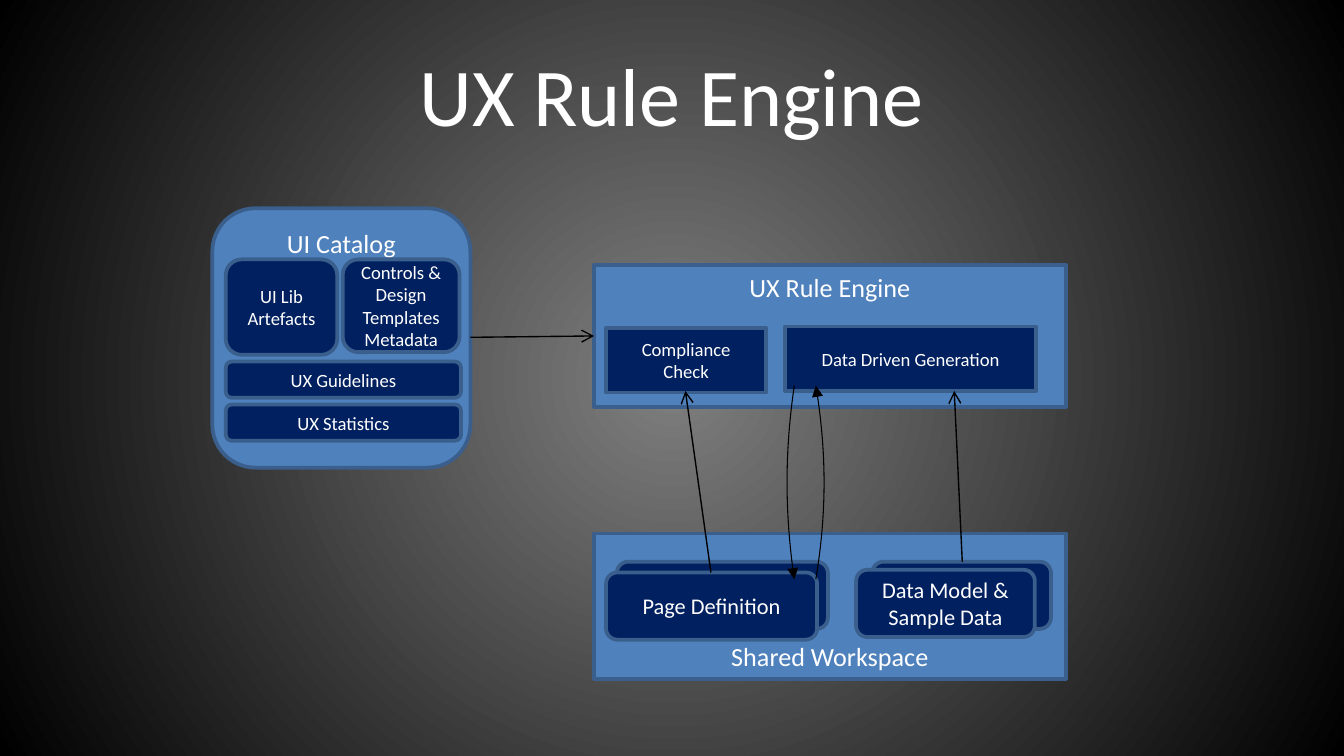
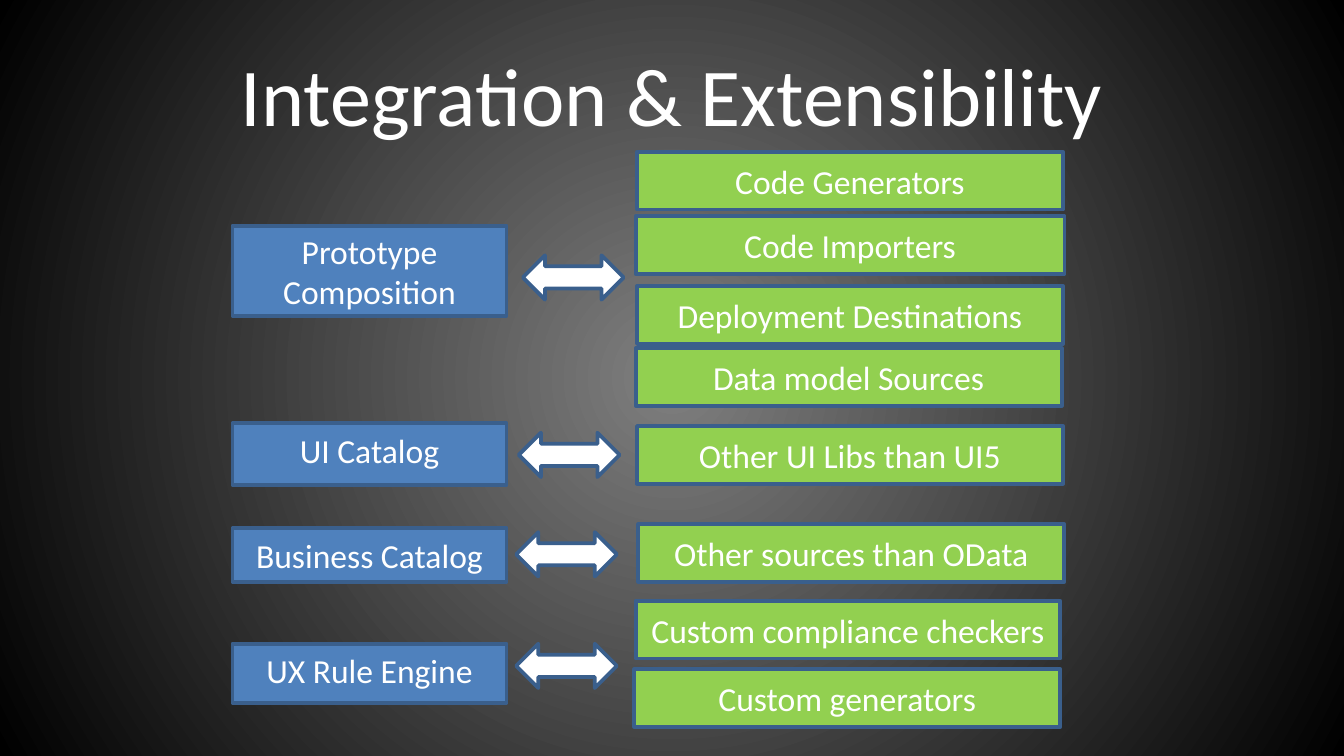
"""Builds two slides on the UX rule engine and its integration points."""
import pptx
import pptx.dml.color
import pptx.enum.dml
import pptx.enum.shapes
import pptx.enum.text
import pptx.oxml
import pptx.oxml.ns
import pptx.util

Inches = pptx.util.Inches
Pt = pptx.util.Pt
RGB = pptx.dml.color.RGBColor.from_string
MSO = pptx.enum.shapes.MSO_SHAPE
ANCHOR = pptx.enum.text.MSO_ANCHOR
qn = pptx.oxml.ns.qn
NS = pptx.oxml.ns.nsdecls("a")
COLORS = {
    "glow": "7F7F7F", "black": "000000", "white": "FFFFFF",
    "blue": "4F81BD", "navy": "002060", "green": "92D050", "edge": "3A5F8C",
}


def write(shape, text, size, anchor=ANCHOR.MIDDLE):
    tf = shape.text_frame
    tf.word_wrap = True
    tf.vertical_anchor = anchor
    p = tf.paragraphs[0]
    p.alignment = pptx.enum.text.PP_ALIGN.CENTER
    r = p.add_run()
    r.text = text
    r.font.size = Pt(size)
    r.font.name = "Calibri"
    r.font.color.rgb = RGB(COLORS["white"])


def box(s, kind, at, fill, text="", size=10, anchor=ANCHOR.MIDDLE):
    sp = s.shapes.add_shape(kind, *map(Inches, at))
    sp.shadow.inherit = False
    sp.fill.solid()
    sp.fill.fore_color.rgb = RGB(COLORS[fill])
    sp.line.color.rgb = RGB(COLORS["edge"])
    sp.line.width = Pt(2)
    if text:
        write(sp, text, size, anchor)


prs = pptx.Presentation()
prs.slide_width = Inches(10)
prs.slide_height = prs.slide_width * 9 // 16

fill = prs.slide_master.background.fill
fill.gradient()
for stop, name in zip(fill.gradient_stops, ("glow", "black")):
    stop.color.rgb = RGB(COLORS[name])
grad = prs.slide_master.element.find(".//" + qn("a:gradFill"))
grad.replace(grad.find(qn("a:lin")), pptx.oxml.parse_xml(
    f'<a:path {NS} path="circle"><a:fillToRect l="50000" t="50000" r="50000" b="50000"/></a:path>'))

slides = []
for title in ("UX Rule Engine", "Integration & Extensibility"):
    s = prs.slides.add_slide(prs.slide_layouts[5])
    sp = s.shapes.title
    sp.left, sp.top, sp.width, sp.height = map(Inches, (0.5, 0.23, 9, 0.94))
    write(sp, title, 44)
    slides.append(s)
engine, integration = slides

panels = [
    (MSO.RECTANGLE, (4.42, 3.97, 3.51, 1.08), "Shared Workspace", ANCHOR.BOTTOM),
    (MSO.RECTANGLE, (4.42, 1.97, 3.51, 1.06), "UX Rule Engine", ANCHOR.TOP),
]
catalog = (MSO.ROUNDED_RECTANGLE, (1.58, 1.55, 1.92, 1.93), "UI Catalog", ANCHOR.TOP)
for kind, at, text, anchor in panels + [catalog]:
    box(engine, kind, at, "blue", text, 14, anchor)

parts = [
    (MSO.ROUNDED_RECTANGLE, (4.59, 4.18, 1.57, 0.5), "", 12),
    (MSO.ROUNDED_RECTANGLE, (4.51, 4.26, 1.57, 0.5), "Page Definition", 12),
    (MSO.ROUNDED_RECTANGLE, (6.49, 4.18, 1.33, 0.5), "", 12),
    (MSO.ROUNDED_RECTANGLE, (6.37, 4.24, 1.33, 0.5), "Data Model & Sample Data", 12),
    (MSO.ROUNDED_RECTANGLE, (1.68, 1.93, 0.83, 0.71), "UI Lib Artefacts", 10),
    (MSO.ROUNDED_RECTANGLE, (2.55, 1.93, 0.87, 0.69), "Controls & Design Templates Metadata", 10),
    (MSO.ROUNDED_RECTANGLE, (1.68, 2.69, 1.75, 0.27), "UX Guidelines", 10),
    (MSO.ROUNDED_RECTANGLE, (1.68, 3.01, 1.75, 0.27), "UX Statistics", 10),
    (MSO.RECTANGLE, (4.51, 2.44, 1.19, 0.48), "Compliance Check", 10),
    (MSO.RECTANGLE, (5.84, 2.43, 1.87, 0.48), "Data Driven Generation", 10),
]
for kind, at, text, size in parts:
    box(engine, kind, at, "navy", text, size)

arrows = []
for ends in ((3.5, 2.51, 4.42, 2.5), (5.29, 4.26, 5.1, 2.91), (7.16, 4.18, 7.1, 2.91)):
    sp = engine.shapes.add_connector(
        pptx.enum.shapes.MSO_CONNECTOR.STRAIGHT, *map(Inches, ends))
    arrows.append((sp, 0.75, "arrow"))

for x, bend, start, end in ((5.91, 5.84, 2.87, 4.31), (6.07, 6.15, 4.31, 2.87)):
    third = (end - start) / 3
    points = [(bend, start + third), (bend, end - third), (x, end)]
    pen = engine.shapes.build_freeform(Inches(x), Inches(start))
    pen.add_line_segments([(Inches(a), Inches(b)) for a, b in points], close=False)
    sp = pen.convert_to_shape()
    sp.shadow.inherit = False
    sp.fill.background()
    outline = sp.element.find(".//" + qn("a:path"))
    curve = pptx.oxml.parse_xml(f"<a:cubicBezTo {NS}/>")
    for segment in outline.findall(qn("a:lnTo")):
        curve.append(segment[0])
        outline.remove(segment)
    outline.append(curve)
    arrows.append((sp, 0.57, "triangle"))

for sp, width, head in arrows:
    sp.line.color.rgb = RGB(COLORS["black"])
    sp.line.width = Pt(width)
    props = sp.element.spPr
    props.find(qn("a:ln")).append(pptx.oxml.parse_xml(f'<a:tailEnd {NS} type="{head}"/>'))
    if props.find(qn("a:effectLst")) is None:
        props.append(pptx.oxml.parse_xml(f"<a:effectLst {NS}/>"))

components = [
    (1.68, 0.67, "Prototype Composition", ANCHOR.MIDDLE),
    (4.79, 0.44, "UX Rule Engine", ANCHOR.TOP),
    (3.93, 0.4, "Business Catalog", ANCHOR.TOP),
    (3.15, 0.46, "UI Catalog", ANCHOR.TOP),
]
for top, height, text, anchor in components:
    box(integration, MSO.RECTANGLE, (1.73, top, 2.04, height), "blue", text, 18, anchor)

extensions = [
    (4.74, 1.13, 3.17, "Code Generators"),
    (4.73, 1.61, 3.19, "Code Importers"),
    (4.74, 2.13, 3.17, "Deployment Destinations"),
    (4.73, 2.59, 3.17, "Data model Sources"),
    (4.74, 3.17, 3.17, "Other UI Libs than UI5"),
    (4.75, 3.9, 3.17, "Other sources than OData"),
    (4.73, 4.47, 3.16, "Custom compliance checkers"),
    (4.72, 4.98, 3.17, "Custom generators"),
]
for left, top, width, text in extensions:
    box(integration, MSO.RECTANGLE, (left, top, width, 0.43), "green", text, 18)

for left, top in ((3.89, 1.9), (3.86, 3.22), (3.84, 3.96), (3.84, 4.79)):
    box(integration, MSO.LEFT_RIGHT_ARROW, (left, top, 0.75, 0.33), "white")

prs.save("out.pptx")
